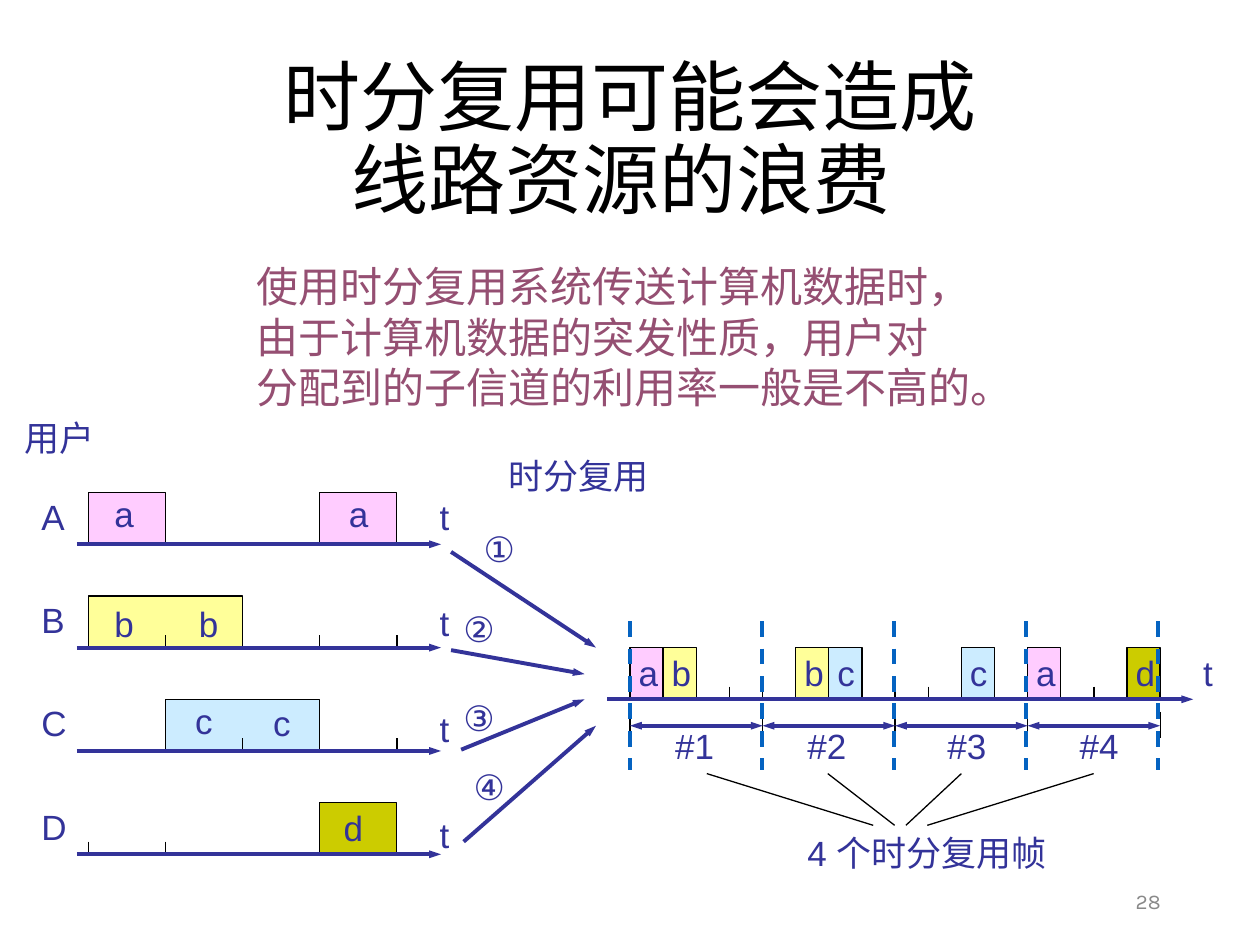
from collections import namedtuple
from dataclasses import dataclass

from lxml import etree
from pptx import Presentation
from pptx.dml.color import RGBColor
from pptx.enum.dml import MSO_LINE
from pptx.enum.shapes import MSO_CONNECTOR
from pptx.enum.text import MSO_ANCHOR, PP_ALIGN
from pptx.oxml.ns import qn
from pptx.util import Inches, Pt

STRAIGHT = MSO_CONNECTOR.STRAIGHT
DASH = MSO_LINE.DASH
MIDDLE = MSO_ANCHOR.MIDDLE
LEFT, CENTER, RIGHT = PP_ALIGN.LEFT, PP_ALIGN.CENTER, PP_ALIGN.RIGHT

Box = namedtuple("Box", "left top width height")
Style = namedtuple("Style", "font size color")
Stroke = namedtuple("Stroke", "color width")


@dataclass(frozen=True)
class Theme:
    title: Style = Style("Calibri", 44, "000000")
    intro: Style = Style("Noto Sans CJK SC", 24, "954F72")
    label: Style = Style("Arial", 20, "333399")
    number: Style = Style("Karla", 12, "898989")
    thin: Stroke = Stroke("000000", 0.75)
    axis: Stroke = Stroke("333399", 2.25)
    frame: Stroke = Stroke("0563C1", 2.25)


THEME = Theme()
FILLS = {"a": "FFCCFF", "b": "FFFF99", "c": "CCECFF", "d": "CCCC00"}
WIDTHS = {"t": 0.28, "c": 0.34, "a": 0.36, "b": 0.36, "d": 0.36}
TEXT_HEIGHT = 0.43
BLOCK_HEIGHT = 0.41
TICK_HEIGHT = 0.1


def format_text(frame, style, align=LEFT):
    for para in frame.paragraphs:
        para.alignment = align
        for span in para.runs:
            span.font.name = style.font
            span.font.size = Pt(style.size)
            span.font.color.rgb = RGBColor.from_string(style.color)
            east = etree.SubElement(span.font._element, qn("a:ea"))
            east.set("typeface", style.font)


def add_text(page, box, text, style=THEME.label, align=LEFT, wrap=False):
    shape = page.shapes.add_textbox(*map(Inches, box))
    frame = shape.text_frame
    frame.word_wrap = wrap
    frame.text = text
    format_text(frame, style, align)
    return frame


def add_label(page, left, top, text, width=None):
    add_text(page, Box(left, top, width or WIDTHS[text], TEXT_HEIGHT), text)


def add_line(page, start, end, stroke=THEME.thin, head=False, tail=False):
    points = map(Inches, (*start, *end))
    connector = page.shapes.add_connector(STRAIGHT, *points)
    connector.line.color.rgb = RGBColor.from_string(stroke.color)
    connector.line.width = Pt(stroke.width)
    outline = connector.line._get_or_add_ln()
    for wanted, tag in ((head, "a:headEnd"), (tail, "a:tailEnd")):
        if wanted:
            etree.SubElement(outline, qn(tag), type="triangle", w="sm", len="med")
    etree.SubElement(connector._element.spPr, qn("a:effectLst"))
    return connector


def add_block(page, left, base, width, letter):
    top, right = base - BLOCK_HEIGHT, left + width
    builder = page.shapes.build_freeform(Inches(left), Inches(base))
    corners = [(left, top), (right, top), (right, base)]
    builder.add_line_segments([(Inches(x), Inches(y)) for x, y in corners], close=False)
    block = builder.convert_to_shape()
    block.shadow.inherit = False
    block.fill.solid()
    block.fill.fore_color.rgb = RGBColor.from_string(FILLS[letter])
    block.line.color.rgb = RGBColor.from_string(THEME.thin.color)
    block.line.width = Pt(THEME.thin.width)


def add_tick(page, x, base):
    add_line(page, (x, base - TICK_HEIGHT), (x, base))


def add_title(page, box):
    title = page.shapes.title
    title.left, title.top, title.width, title.height = map(Inches, box)
    frame = title.text_frame
    frame.text = "时分复用可能会造成\v线路资源的浪费 "
    frame.vertical_anchor = MIDDLE
    frame.paragraphs[0].line_spacing = 0.9
    format_text(frame, THEME.title, CENTER)


def add_intro(page, box):
    lines = (
        "使用时分复用系统传送计算机数据时，",
        "由于计算机数据的突发性质，用户对",
        "分配到的子信道的利用率一般是不高的。",
    )
    frame = add_text(page, box, "\n".join(lines), THEME.intro)
    for para in frame.paragraphs:
        para.line_spacing = Pt(28.8)


def add_users(page, box):
    slot, row_step = 0.6125, 0.82
    origin, first_base = box.left + 0.6, box.top + 1.06
    users = (
        ("A", "a", ((0, 1), (4 - 1, 1)), (), ((0.11, -0.46), (1.97, -0.46))),
        ("B", "b", ((0, 2),), (1, 3, 4), ((0.11, -0.41), (0.78, -0.41))),
        ("C", "c", ((1, 2),), (2, 4), ((0.75, -0.46), (1.37, -0.44))),
        ("D", "d", ((3, 1),), (0, 1, 3), ((1.93, -0.43),)),
    )
    add_label(page, box.left, box.top, "用户", 0.76)
    for row, (user, letter, blocks, ticks, letters) in enumerate(users):
        base = first_base + row * row_step
        for start, count in blocks:
            add_block(page, origin + start * slot, base, count * slot, letter)
        for tick in ticks:
            add_tick(page, origin + tick * slot, base)
        for x, y in letters:
            add_label(page, origin + x, base + y, letter)
        add_label(page, box.left + 0.13, base - 0.44, user, 0.4)
        add_label(page, box.left + 3.29, box.top + 0.62 + row * 0.843, "t")
        end = (box.left + box.width, base)
        add_line(page, (origin - 0.09, base), end, THEME.axis, tail=True)


def add_multiplexer(page, box):
    add_label(page, box.left + 0.36, box.top, "时分复用", 1.31)
    arrows = (
        ("①", (0.16, 0.58), (0, 0.82), (1.15, 1.58)),
        ("②", (0, 1.21), (0, 1.6), (1.06, 1.79)),
        ("③", (0, 1.92), (0.08, 2.39), (1.06, 1.99)),
        ("④", (0.08, 2.47), (0.1, 3.12), (1.15, 2.2)),
    )
    for number, *offsets in arrows:
        spot, start, end = [(box.left + x, box.top + y) for x, y in offsets]
        add_line(page, start, end, THEME.axis, tail=True)
        add_label(page, *spot, number, 0.48)


def add_frames(page, box):
    slot, frame_width = 0.263, 1.052
    origin, base = box.left + 0.18, box.top + 0.62
    signals = ((0, "a"), (1, "b"), (5, "b"), (6, "c"), (10, "c"), (12, "a"), (15, "d"))
    for position, letter in signals:
        add_block(page, origin + position * slot, base, slot, letter)
    for tick in (2, 3, 4, 8, 9, 14):
        add_tick(page, origin + tick * slot, base)
    for position, letter in signals:
        add_label(page, origin + position * slot - 0.03, base - 0.43, letter)
    add_line(page, (box.left, base), (box.left + box.width, base), THEME.axis, tail=True)
    add_label(page, box.left + 4.63, base - 0.43, "t")

    for index in range(5):
        edge = origin + index * frame_width
        add_line(page, (edge, base + 0.1), (edge, base + 0.31))
    pointers = ((0.61, 1.93), (1.57, 2.1), (2.63, 2.19), (3.68, 2.36))
    names = (0.26, 1.31, 2.42, 3.47)
    for index, ((start, end), name) in enumerate(zip(pointers, names)):
        edge, middle = origin + index * frame_width, base + 0.21
        next_edge = (edge + frame_width, middle)
        add_line(page, (edge, middle), next_edge, THEME.axis, head=True, tail=True)
        add_label(page, origin + name, base + 0.15, f"#{index + 1}", 0.51)
        add_line(page, (origin + start, base + 0.59), (origin + end, base + 1))
    caption = Box(origin + 1.31, base + 1, 2.1, TEXT_HEIGHT)
    add_text(page, caption, "4 个时分复用帧", wrap=True)

    for index in range(5):
        edge = origin + index * 1.0475
        divider = add_line(page, (edge, box.top), (edge, box.top + 1.18), THEME.frame)
        divider.line.dash_style = DASH


def add_page_number(page, box):
    frame = add_text(page, box, "28", THEME.number, RIGHT, wrap=True)
    frame.vertical_anchor = MIDDLE


def main():
    deck = Presentation()
    deck.slide_width, deck.slide_height = Inches(10), Inches(7.5)
    page = deck.slides.add_slide(deck.slide_layouts[5])
    add_title(page, Box(0.69, 0.4, 8.62, 1.45))
    add_users(page, Box(0.1, 3.26, 3.4, 3.58))
    add_multiplexer(page, Box(3.58, 3.56, 1.67, 3.12))
    add_frames(page, Box(4.82, 4.93, 4.65, 2.05))
    add_intro(page, Box(1.94, 2.02, 6.37, 1.3))
    add_page_number(page, Box(7.06, 6.95, 2.25, 0.4))
    deck.save("out.pptx")


if __name__ == "__main__":
    main()
